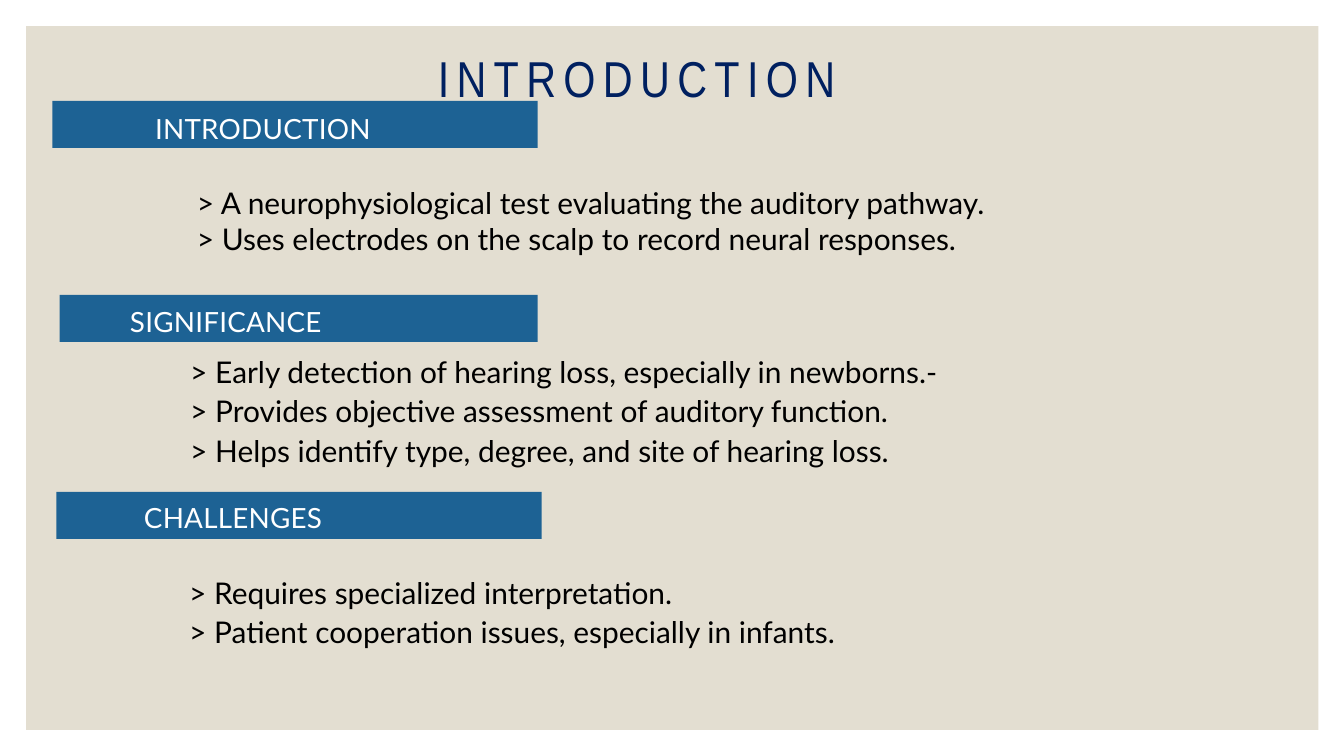
from dataclasses import dataclass
from lxml.etree import SubElement
from pptx import Presentation
from pptx.dml.color import RGBColor as Rgb
from pptx.enum.shapes import MSO_SHAPE as Shape
from pptx.enum.text import MSO_ANCHOR as Anchor, MSO_AUTO_SIZE as Fit, PP_ALIGN as Align
from pptx.oxml.ns import qn
from pptx.util import Pt


@dataclass(frozen=True)
class Theme:
    panel: str = "E3DED1"
    bar: str = "1D6294"
    light: str = "FFFFFF"
    title: str = "002060"
    ink: str = "000000"
    head: str = "Arial Narrow"
    body: str = "Lato"
    big: float = 54
    mid: float = 32
    small: float = 29.8


LOOK = Theme()

PARTS = [
    dict(label="INTRODUCTION", bar=(56.2, 108, 520, 50.4), pad=(110, 3.6),
         slot=1, box=(211, 198, 1068, 85), gap=1.0, lines=[
             "> A neurophysiological test evaluating the auditory pathway.",
             "> Uses electrodes on the scalp to record neural responses."]),
    dict(label="SIGNIFICANCE", bar=(64, 316, 512, 50.4), pad=(75.3, 0),
         slot=2, box=(203.8, 375.1, 1220, 130), gap=Pt(42.2), lines=[
             "> Early detection of hearing loss, especially in newborns.-",
             "> Provides objective assessment of auditory function.",
             "> Helps identify type, degree, and site of hearing loss."]),
    dict(label="CHALLENGES", bar=(60.5, 527, 520, 50.4), pad=(93.8, 0),
         slot=4, box=(202.6, 611.7, 1220, 90), gap=Pt(42.2), lines=[
             "> Requires specialized interpretation.",
             "> Patient cooperation issues, especially in infants."]),
]


def write(shape, lines, *, size, color, font=LOOK.body, align=Align.JUSTIFY,
          gap=1.0, track=0, pad=(0, 0), anchor=Anchor.TOP):
    frame = shape.text_frame
    frame.word_wrap = True
    frame.auto_size = Fit.NONE
    frame.vertical_anchor = anchor
    frame.margin_left, frame.margin_top = map(Pt, pad)
    frame.margin_right = frame.margin_bottom = Pt(0)
    for n, line in enumerate(lines):
        para = frame.paragraphs[0] if n == 0 else frame.add_paragraph()
        props = para._p.get_or_add_pPr()
        props.set("marL", "0")
        props.set("indent", "0")
        SubElement(props, qn("a:buNone"))
        para.alignment = align
        para.line_spacing = gap
        para.space_before = para.space_after = Pt(0)
        run = para.add_run()
        run.text = line
        run.font.name = font
        run.font.size = Pt(size)
        run.font.bold = False
        run.font.color.rgb = Rgb.from_string(color)
        run._r.get_or_add_rPr().set("spc", str(round(track * 100)))


def place(shape, box):
    shape.left, shape.top, shape.width, shape.height = map(Pt, box)
    return shape


def block(slide, box, color):
    shape = slide.shapes.add_shape(Shape.RECTANGLE, *map(Pt, box))
    shape.shadow.inherit = False
    shape.fill.solid()
    shape.fill.fore_color.rgb = Rgb.from_string(color)
    shape.line.fill.background()
    return shape


def panel(slide, box):
    shape = block(slide, box, LOOK.panel)
    slide.shapes._spTree.insert(2, shape._element)


def header(slide, box):
    write(place(slide.shapes.title, box), ["INTRODUCTION"], size=LOOK.big,
          color=LOOK.title, font=LOOK.head, align=Align.CENTER,
          gap=Pt(110.8), track=7.9)


def section(slide, label, bar, pad, slot, box, gap, lines):
    write(block(slide, bar, LOOK.bar), [label], size=LOOK.small,
          color=LOOK.light, gap=Pt(41.1), track=0.3, pad=pad,
          anchor=Anchor.MIDDLE)
    write(place(slide.placeholders[slot], box), lines, size=LOOK.mid,
          color=LOOK.ink, gap=gap)


def main():
    deck = Presentation()
    deck.slide_width, deck.slide_height = Pt(1440), Pt(810)
    slide = deck.slides.add_slide(deck.slide_layouts[4])
    spare = slide.placeholders[3]._element
    spare.getparent().remove(spare)
    panel(slide, (28, 28, 1384.5, 754))
    header(slide, (252.7, 4.3, 859, 96.5))
    for part in PARTS:
        section(slide, **part)
    deck.save("out.pptx")


if __name__ == "__main__":
    main()
